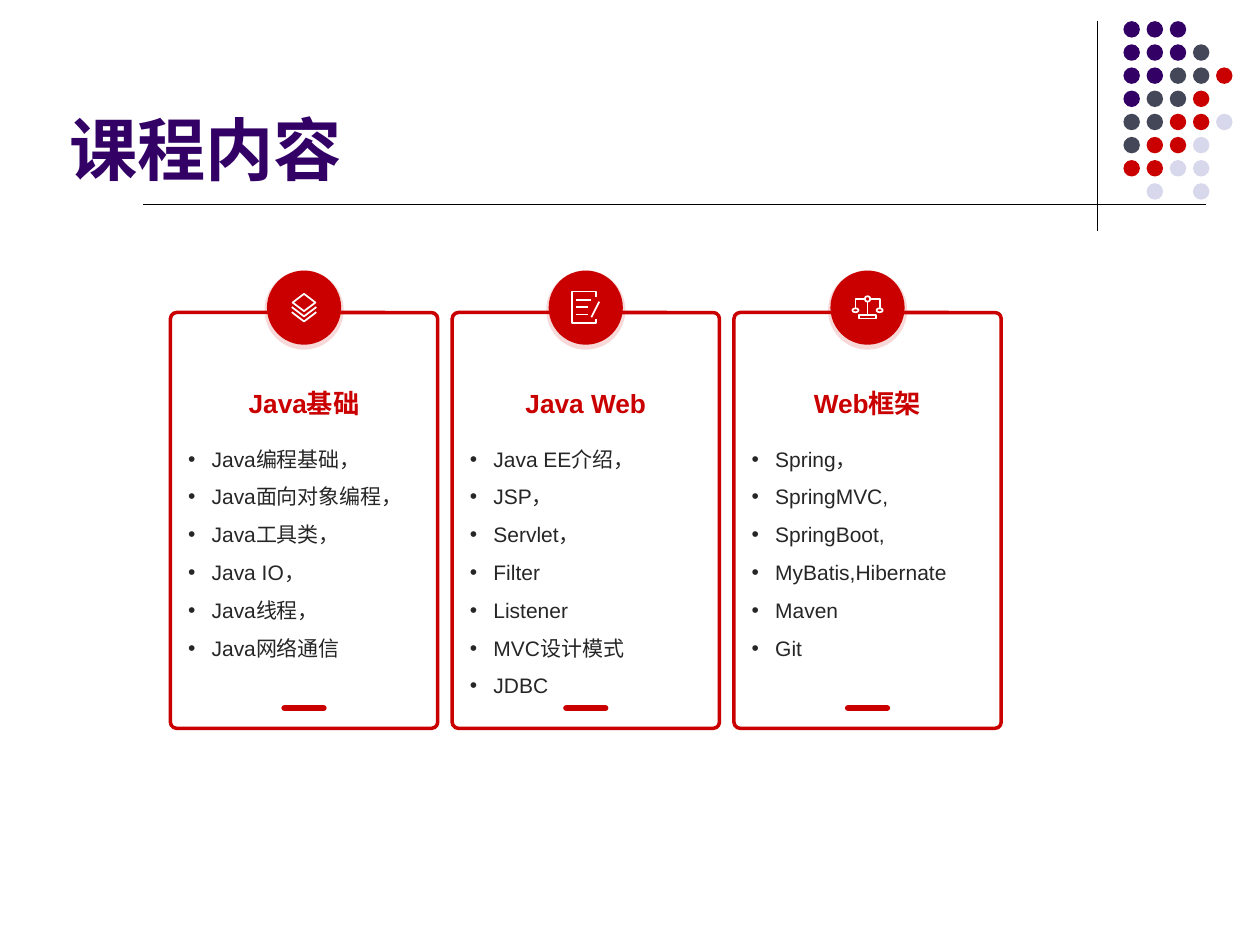
from dataclasses import dataclass
from math import cos, pi, sin

from lxml import etree
from pptx import Presentation
from pptx.dml.color import RGBColor
from pptx.enum.shapes import MSO_CONNECTOR as CONN, MSO_SHAPE as SHAPE
from pptx.enum.text import MSO_ANCHOR as ANCHOR, PP_ALIGN as ALIGN
from pptx.oxml.ns import qn
from pptx.util import Pt


@dataclass(frozen=True)
class Theme:
    font: str = "Arial"
    purple: str = "330066"
    slate: str = "444758"
    red: str = "CA0000"
    lilac: str = "D8D8EC"
    ink: str = "262626"
    black: str = "000000"
    white: str = "FFFFFF"
    title: float = 39
    heading: float = 15
    body: float = 12


T = Theme()


def oval(cx, cy, rx, ry, steps=16):
    angles = [2 * pi * i / steps for i in range(steps + 1)]
    return [(cx + rx * cos(a), cy + ry * sin(a)) for a in angles]


LAYERS = [
    [(0, -7.9), (6.5, -2.9), (0, 2), (-6.5, -2.9), (0, -7.9)],
    [(-7, -0.3), (0, 5), (7, -0.3)],
    [(-7, 2.6), (0, 7.9), (7, 2.6)],
]
NOTEPAD = [
    [(5.8, -5.8), (5.8, -9.2), (-7.9, -9.2), (-7.9, 8.8), (5.8, 8.8), (5.8, 6.3)],
    [(-5.3, -4.5), (3, -4.5)],
    [(-5.3, -0.3), (1.2, -0.3)],
    [(-5.3, 4), (1.2, 4)],
    [(7.7, -3.4), (3.2, 5.5)],
]
SCALES = [
    oval(0, -5, 1.5, 1.5),
    [(-1.5, -5), (-6.9, -5), (-6.9, 0.4)],
    [(1.5, -5), (6.9, -5), (6.9, 0.4)],
    [(0, -3.5), (0, 4.2)],
    oval(-6.9, 1.5, 1.7, 1.1),
    oval(6.9, 1.5, 1.7, 1.1),
    [(-4.9, 4.2), (4.9, 4.2), (4.9, 6.1), (-4.9, 6.1), (-4.9, 4.2)],
]

CARDS = [
    ("Java基础", LAYERS, ["Java编程基础，", "Java面向对象编程，", "Java工具类，",
                        "Java IO，", "Java线程，", "Java网络通信"]),
    ("Java Web", NOTEPAD, ["Java EE介绍，", "JSP，", "Servlet，", "Filter",
                           "Listener", "MVC设计模式", "JDBC"]),
    ("Web框架", SCALES, ["Spring，", "SpringMVC,", "SpringBoot,",
                       "MyBatis,Hibernate", "Maven", "Git"]),
]

DOTS = ["PPP  ", "PPPS ", "PPSSR", "PSSR ", "SSRRL", "SRRL ", "RRLL ", " L L "]
DOT_COLORS = {"P": T.purple, "S": T.slate, "R": T.red, "L": T.lilac}


def rgb(color):
    return RGBColor.from_string(color)


def add_line(s, x1, y1, x2, y2, color, weight, round_cap=False):
    line = s.shapes.add_connector(CONN.STRAIGHT, Pt(x1), Pt(y1), Pt(x2), Pt(y2))
    line.line.color.rgb = rgb(color)
    line.line.width = Pt(weight)
    if round_cap:
        line.line._get_or_add_ln().set("cap", "rnd")
    etree.SubElement(line._element.spPr, qn("a:effectLst"))


def add_disc(s, x, y, size, color, alpha=None):
    sp = s.shapes.add_shape(SHAPE.OVAL, Pt(x), Pt(y), Pt(size), Pt(size))
    sp.shadow.inherit = False
    sp.fill.solid()
    sp.fill.fore_color.rgb = rgb(color)
    sp.line.fill.background()
    if alpha is not None:
        clr = sp._element.spPr.find(".//" + qn("a:srgbClr"))
        etree.SubElement(clr, qn("a:alpha")).set("val", str(alpha * 1000))


def add_text(s, x, y, w, h, lines, size, color, bold=False, align=ALIGN.LEFT,
             anchor=ANCHOR.TOP, inset=0, bullets=False):
    tf = s.shapes.add_textbox(Pt(x), Pt(y), Pt(w), Pt(h)).text_frame
    tf.word_wrap = True
    tf.vertical_anchor = anchor
    tf.margin_left = tf.margin_right = tf.margin_top = tf.margin_bottom = Pt(inset)
    for i, text in enumerate(lines):
        p = tf.paragraphs[0] if i == 0 else tf.add_paragraph()
        p.alignment = align
        if bullets:
            p.line_spacing = 1.5
            pPr = p._p.get_or_add_pPr()
            pPr.set("marL", str(Pt(13.5)))
            pPr.set("indent", str(-Pt(13.5)))
            etree.SubElement(pPr, qn("a:buFont")).set("typeface", T.font)
            etree.SubElement(pPr, qn("a:buChar")).set("char", "•")
        r = p.add_run()
        r.text = text
        r.font.name = T.font
        r.font.size = Pt(size)
        r.font.bold = bold
        r.font.color.rgb = rgb(color)


def add_icon(s, cx, cy, strokes):
    unit = 10
    scaled = [[(x * unit, y * unit) for x, y in stroke] for stroke in strokes]
    builder = s.shapes.build_freeform(*scaled[0][0], scale=Pt(1) / unit)
    for i, (start, *rest) in enumerate(scaled):
        if i:
            builder.move_to(*start)
        builder.add_line_segments(rest, close=start == rest[-1])
    sp = builder.convert_to_shape(Pt(cx), Pt(cy))
    sp.shadow.inherit = False
    sp.fill.background()
    sp.line.color.rgb = rgb(T.white)
    sp.line.width = Pt(1)


def add_dot_grid(s, x, y, pitch, size):
    for row, codes in enumerate(DOTS):
        for col, code in enumerate(codes):
            if code in DOT_COLORS:
                add_disc(s, x + col * pitch, y + row * pitch, size, DOT_COLORS[code])


def add_header(s, x, y, w, h):
    add_line(s, x + 591, y + 12, x + 591, y + 132, T.black, 0.75)
    add_dot_grid(s, x + 606, y + 12.1, 13.23, 9.4)
    add_line(s, x + 46, y + 116.8, x + 653, y + 116.8, T.black, 0.5)
    add_text(s, x, y, w, h, ["课程内容"], T.title, T.purple, bold=True,
             anchor=ANCHOR.BOTTOM, inset=3.6)


def add_card(s, x, y, w, h, heading, icon, items):
    cx, pad, halo, badge = x + w / 2, 10.1, 45.2, 42.4
    badge_top = y - 24
    add_line(s, cx - 11.2, y + h - 11.5, cx + 11.2, y + h - 11.5, T.red, 3.5, True)
    frame = s.shapes.add_shape(SHAPE.ROUNDED_RECTANGLE, Pt(x), Pt(y), Pt(w), Pt(h))
    frame.adjustments[0] = 0.023
    frame.shadow.inherit = False
    frame.fill.background()
    frame.line.color.rgb = rgb(T.red)
    frame.line.width = Pt(2)
    add_text(s, x + pad, y + 69.2, w - 2 * pad, 138, items, T.body, T.ink, bullets=True)
    add_text(s, x + pad, y + 34.6, w - 2 * pad, 26, [heading], T.heading, T.red,
             bold=True, align=ALIGN.CENTER, anchor=ANCHOR.BOTTOM)
    add_disc(s, cx - halo / 2, badge_top, halo, T.red, alpha=15)
    add_disc(s, cx - badge / 2, badge_top, badge, T.red)
    add_icon(s, cx, badge_top + badge / 2, icon)


def main():
    prs = Presentation()
    prs.slide_width, prs.slide_height = Pt(720), Pt(540)
    s = prs.slides.add_slide(prs.slide_layouts[6])
    add_header(s, 36, 0, 648, 111.6)
    left, pitch = 97.4, 161
    for i, card in enumerate(CARDS):
        add_card(s, left + i * pitch, 178.6, 152.7, 237.6, *card)
    prs.save("out.pptx")


if __name__ == "__main__":
    main()
